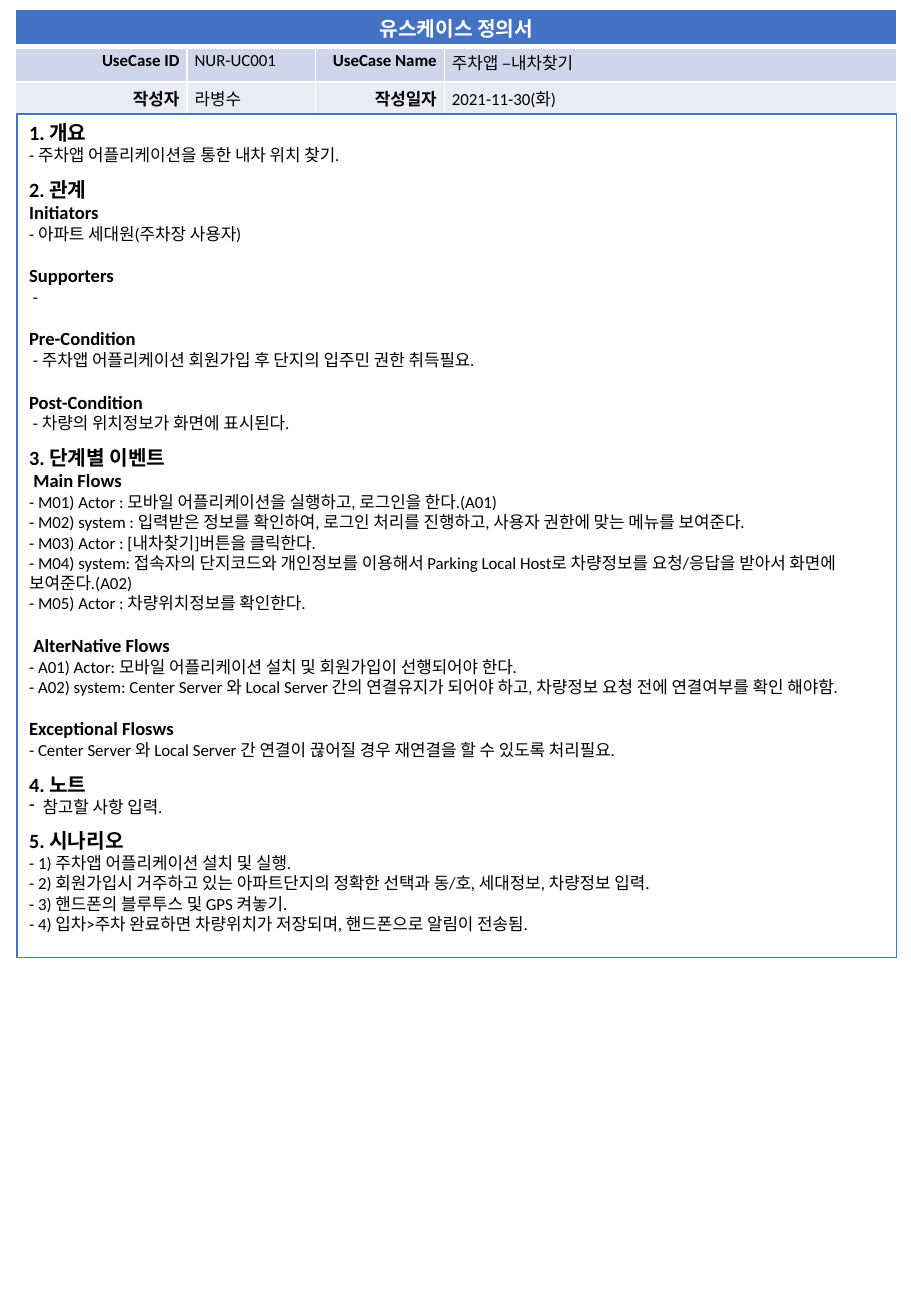
from lxml import etree
from pptx import Presentation
from pptx.dml.color import RGBColor
from pptx.enum.shapes import MSO_SHAPE
from pptx.enum.text import MSO_ANCHOR, PP_ALIGN
from pptx.oxml.ns import qn
from pptx.util import Cm, Pt

LEFT, CENTER, RIGHT = PP_ALIGN.LEFT, PP_ALIGN.CENTER, PP_ALIGN.RIGHT
TOP = MSO_ANCHOR.TOP
RECTANGLE = MSO_SHAPE.RECTANGLE

FONT = "Calibri"
BLUE = RGBColor(0x44, 0x72, 0xC4)
DARK_BAND = RGBColor(0xCF, 0xD5, 0xEA)
LIGHT_BAND = RGBColor(0xE9, 0xEB, 0xF5)
WHITE = RGBColor(0xFF, 0xFF, 0xFF)
BLACK = RGBColor(0, 0, 0)

TITLE = "유스케이스 정의서"
FACTS = [
    (DARK_BAND, ["UseCase ID", "NUR-UC001", "UseCase Name", "주차앱 –내차찾기"]),
    (LIGHT_BAND, ["작성자", "라병수", "작성일자", "2021-11-30(화)"]),
]
COLUMN_WIDTHS = [3.58, 2.69, 2.69, 9.47]
ROW_HEIGHTS = [0.58, 0.74, 0.46]

# Each section holds a heading and its groups; a group is a subheading and its lines.
SECTIONS = [
    ("1. 개요", [(None, ["- 주차앱 어플리케이션을 통한 내차 위치 찾기."])]),
    ("2. 관계", [
        ("Initiators", ["- 아파트 세대원(주차장 사용자)"]),
        ("Supporters", [" -"]),
        ("Pre-Condition",
         [" - 주차앱 어플리케이션 회원가입 후 단지의 입주민 권한 취득필요."]),
        ("Post-Condition", [" - 차량의 위치정보가 화면에 표시된다."]),
    ]),
    ("3. 단계별 이벤트", [
        (" Main Flows", [
            "- M01) Actor : 모바일 어플리케이션을 실행하고, 로그인을 한다.(A01)",
            "- M02) system : 입력받은 정보를 확인하여, 로그인 처리를 진행하고, "
            "사용자 권한에 맞는 메뉴를 보여준다.",
            "- M03) Actor : [내차찾기]버튼을 클릭한다.",
            "- M04) system: 접속자의 단지코드와 개인정보를 이용해서 Parking Local Host로 "
            "차량정보를 요청/응답을 받아서 화면에 보여준다.(A02)",
            "- M05) Actor : 차량위치정보를 확인한다.",
        ]),
        (" AlterNative Flows", [
            "- A01) Actor: 모바일 어플리케이션 설치 및 회원가입이 선행되어야 한다.",
            "- A02) system: Center Server 와 Local Server 간의 연결유지가 되어야 하고, "
            "차량정보 요청 전에 연결여부를 확인 해야함.",
        ]),
        ("Exceptional Flosws", [
            "- Center Server 와 Local Server 간 연결이 끊어질 경우 "
            "재연결을 할 수 있도록 처리필요.",
        ]),
    ]),
    ("4. 노트", [(None, ["참고할 사항 입력."])]),
    ("5. 시나리오", [(None, [
        "- 1) 주차앱 어플리케이션 설치 및 실행.",
        "- 2) 회원가입시 거주하고 있는 아파트단지의 정확한 선택과 동/호, "
        "세대정보, 차량정보 입력.",
        "- 3) 핸드폰의 블루투스 및 GPS 켜놓기.",
        "- 4) 입차>주차 완료하면 차량위치가 저장되며, 핸드폰으로 알림이 전송됨.",
    ])]),
]
SECTION_GAP, GROUP_GAP = 7.1, 12.2


def write(para, text, size, bold=False, color=BLACK, align=LEFT, gap=0):
    """Fill one paragraph, with a gap above it in points."""
    para.text = text
    para.alignment = align
    para.space_before = Pt(gap)
    font = para.font
    font.name, font.size, font.bold = FONT, Pt(size), bold
    font.color.rgb = color


def add_dash_bullet(para):
    """Give a paragraph a hanging dash."""
    properties = para._p.get_or_add_pPr()
    properties.set("marL", str(Cm(0.28)))
    properties.set("indent", str(-Cm(0.28)))
    bullet = etree.Element(qn("a:buChar"), char="-")
    properties.find(qn("a:defRPr")).addprevious(bullet)


def style_cell(cell, fill, bottom=1):
    """Set the fill, margins and white borders of a cell."""
    cell.margin_left = cell.margin_right = Cm(0.16)
    cell.margin_top = cell.margin_bottom = Cm(0.08)
    properties = cell._tc.get_or_add_tcPr()
    for side, width in (("L", 1), ("R", 1), ("T", 1), ("B", bottom)):
        line = etree.SubElement(properties, qn(f"a:ln{side}"), w=str(Pt(width)))
        solid = etree.SubElement(line, qn("a:solidFill"))
        etree.SubElement(solid, qn("a:srgbClr"), val=str(WHITE))
    cell.fill.solid()
    cell.fill.fore_color.rgb = fill


def add_header(page):
    """Add the table with the title and the facts of the use case."""
    frame = page.shapes.add_table(
        len(ROW_HEIGHTS), len(COLUMN_WIDTHS), Cm(0.33), Cm(0.2),
        Cm(sum(COLUMN_WIDTHS)), Cm(sum(ROW_HEIGHTS)))
    table = frame.table
    table.first_row = table.horz_banding = False
    for column, width in zip(table.columns, COLUMN_WIDTHS):
        column.width = Cm(width)
    for row, height in zip(table.rows, ROW_HEIGHTS):
        row.height = Cm(height)

    title = table.cell(0, 0)
    title.merge(table.cell(0, len(COLUMN_WIDTHS) - 1))
    for cell in table.rows[0].cells:
        style_cell(cell, BLUE, bottom=3)
    write(title.text_frame.paragraphs[0], TITLE, 12, True, WHITE, CENTER)

    for row, (fill, texts) in enumerate(FACTS, start=1):
        for column, text in enumerate(texts):
            cell = table.cell(row, column)
            style_cell(cell, fill)
            is_label = column % 2 == 0
            write(cell.text_frame.paragraphs[0], text, 10, is_label,
                  align=RIGHT if is_label else LEFT)


def add_body(page):
    """Add the outlined box with all sections."""
    box = page.shapes.add_shape(RECTANGLE, Cm(0.36), Cm(2.39), Cm(18.39), Cm(17.63))
    box.shadow.inherit = False
    box.fill.background()
    box.line.color.rgb = BLUE
    box.line.width = Pt(1)
    frame = box.text_frame
    frame.word_wrap = True
    frame.vertical_anchor = TOP

    for number, (heading, groups) in enumerate(SECTIONS):
        para = frame.add_paragraph() if number else frame.paragraphs[0]
        write(para, heading, 12, True, gap=SECTION_GAP if number else 0)
        for position, (subheading, lines) in enumerate(groups):
            if subheading:
                write(frame.add_paragraph(), subheading, 11, True,
                      gap=GROUP_GAP if position else 0)
            for line in lines:
                para = frame.add_paragraph()
                write(para, line, 10)
                if not line.lstrip().startswith("-"):
                    add_dash_bullet(para)


def main():
    """Build the use case page and save it."""
    deck = Presentation()
    deck.slide_width, deck.slide_height = Cm(19.05), Cm(27.51)
    page = deck.slides.add_slide(deck.slide_layouts[6])
    add_header(page)
    add_body(page)
    deck.save("out.pptx")


main()
